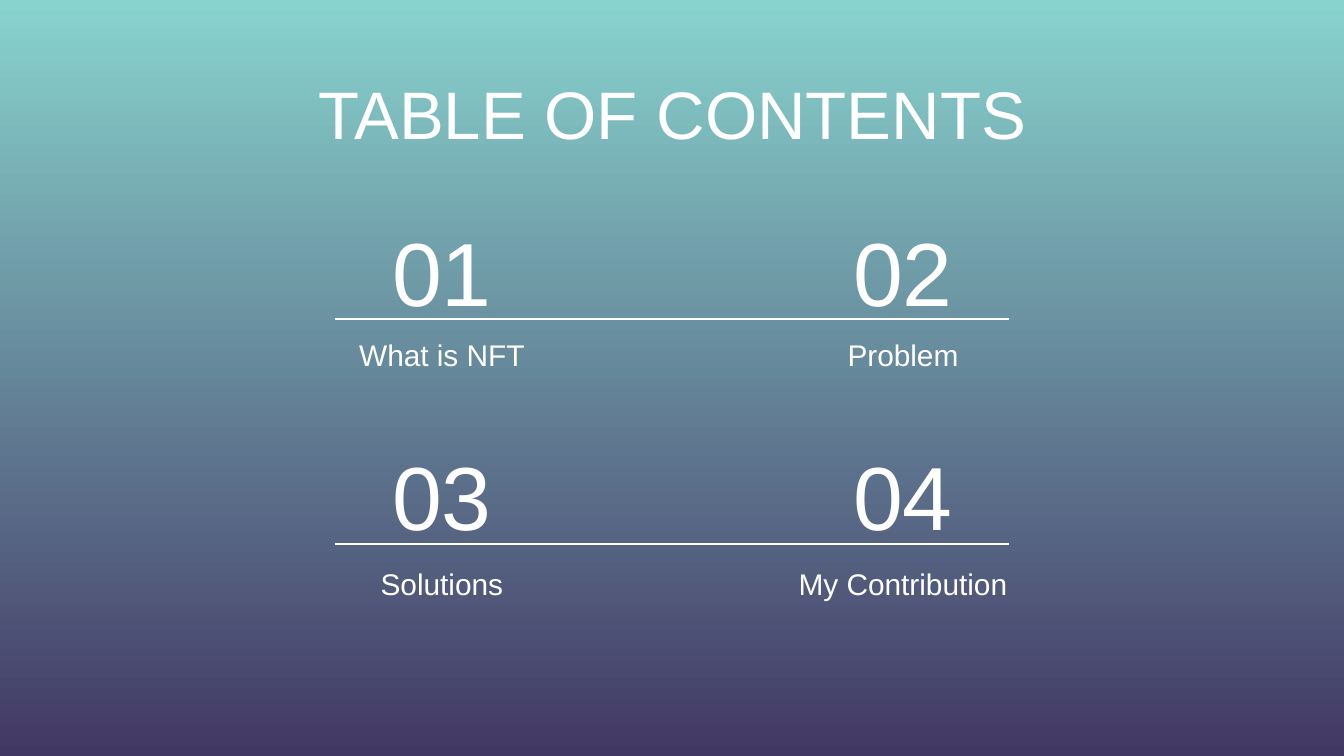
"""Build a table of contents slide with four numbered sections in a grid."""
from lxml import etree
from pptx import Presentation
from pptx import util as u
from pptx.dml.color import RGBColor
from pptx.enum import shapes, text
from pptx.oxml.ns import qn

EMU_PER_PX = 914400 / 134.4
WHITE = RGBColor(0xFF, 0xFF, 0xFF)
TEAL = RGBColor(0x88, 0xD3, 0xCE)
PURPLE = RGBColor(0x42, 0x38, 0x64)
FONT = "Arial"

COLUMN_CENTERS = (442, 903)
ROWS = (
    (228, 319, 301, ("What is NFT", "Problem")),
    (452, 544, 530, ("Solutions", "My Contribution")),
)
NUMBER_WIDTH, LABEL_WIDTH, BOX_HEIGHT = 258, 387, 85
RULE_LEFT, RULE_RIGHT = 335, 1009


def px(n):
    return u.Emu(round(n * EMU_PER_PX))


def set_background(s):
    fill = s.background.fill
    fill.gradient()
    fill.gradient_angle = 270
    for stop, position, color in zip(fill.gradient_stops, (0, 1), (TEAL, PURPLE)):
        stop.position = position
        stop.color.rgb = color


def write(sp, content, size, anchor):
    tf = sp.text_frame
    tf.word_wrap = True
    tf.auto_size = text.MSO_AUTO_SIZE.NONE
    tf.vertical_anchor = anchor
    tf.margin_left = tf.margin_right = tf.margin_top = tf.margin_bottom = u.Inches(0.1)
    p = tf.paragraphs[0]
    p.text = content
    p.alignment = text.PP_ALIGN.CENTER
    p.font.name = FONT
    p.font.size = u.Pt(size)
    p.font.color.rgb = WHITE


def add_title(s, content):
    sp = s.shapes.title
    sp.left, sp.top, sp.width, sp.height = px(165), px(59), px(1015), px(138)
    write(sp, content, 36, text.MSO_ANCHOR.TOP)


def add_text(s, center, top, width, content, size, anchor):
    sp = s.shapes.add_textbox(px(center - width / 2), px(top), px(width), px(BOX_HEIGHT))
    write(sp, content, size, anchor)


def add_rule(s, y):
    line = s.shapes.add_connector(
        shapes.MSO_CONNECTOR.STRAIGHT, px(RULE_LEFT), px(y), px(RULE_RIGHT), px(y))
    line.line.color.rgb = WHITE
    line.line.width = u.Pt(1.5)
    etree.SubElement(line._element.spPr, qn("a:effectLst"))


def main():
    prs = Presentation()
    prs.slide_width, prs.slide_height = px(1344), px(756)
    s = prs.slides.add_slide(prs.slide_layouts[5])
    set_background(s)
    add_title(s, "TABLE OF CONTENTS")
    number = 0
    for number_top, rule_y, label_top, labels in ROWS:
        for center, label in zip(COLUMN_CENTERS, labels):
            number += 1
            add_text(s, center, label_top, LABEL_WIDTH, label, 16, text.MSO_ANCHOR.BOTTOM)
            add_text(s, center, number_top, NUMBER_WIDTH, f"{number:02d}", 48,
                     text.MSO_ANCHOR.MIDDLE)
        add_rule(s, rule_y)
    prs.save("out.pptx")


if __name__ == "__main__":
    main()
